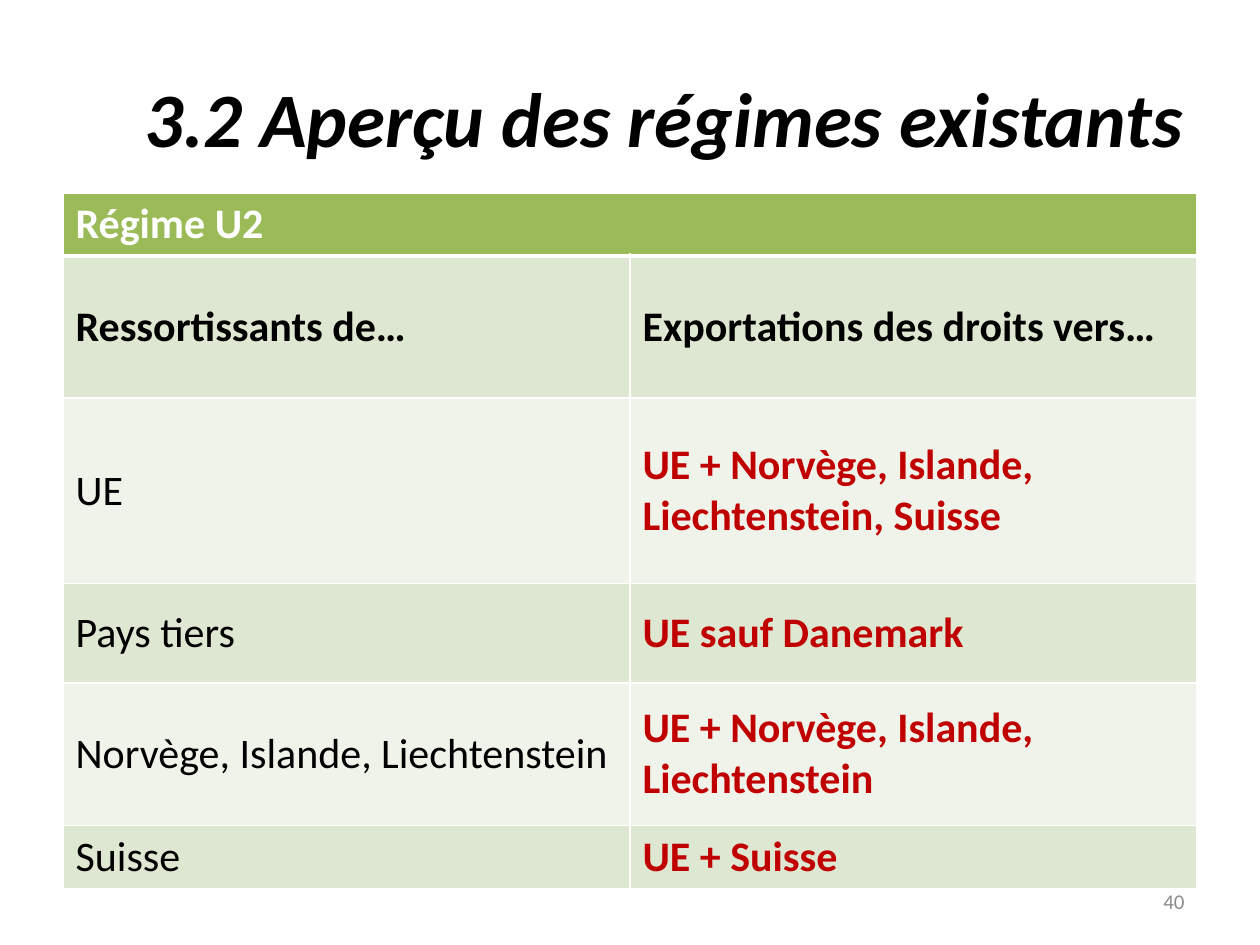
import pptx
import pptx.dml.color
import pptx.enum.text
import pptx.oxml.ns
import pptx.util
from lxml import etree

Inches, Pt = pptx.util.Inches, pptx.util.Pt
RGBColor = pptx.dml.color.RGBColor
PP_ALIGN = pptx.enum.text.PP_ALIGN
MIDDLE = pptx.enum.text.MSO_ANCHOR.MIDDLE
qn = pptx.oxml.ns.qn

FONT = "Calibri"
BLACK = RGBColor(0x00, 0x00, 0x00)
WHITE = RGBColor(0xFF, 0xFF, 0xFF)
GREY = RGBColor(0x8C, 0x8C, 0x8C)
RED = RGBColor(0xC0, 0x00, 0x00)
GREEN = RGBColor(0x9B, 0xBB, 0x59)
BANDS = (RGBColor(0xDE, 0xE7, 0xD1), RGBColor(0xEF, 0xF3, 0xEA))

TITLE = "3.2 Aperçu des régimes existants"
PAGE_NUMBER = "40"
REGIME = "Régime U2"
HEADINGS = ("Ressortissants de…", "Exportations des droits vers…")
EXPORTS = [
    ("UE", "UE + Norvège, Islande, Liechtenstein, Suisse"),
    ("Pays tiers", "UE sauf Danemark"),
    ("Norvège, Islande, Liechtenstein", "UE + Norvège, Islande, Liechtenstein"),
    ("Suisse", "UE + Suisse"),
]
ROW_HEIGHTS = (0.46, 1.13, 1.47, 0.79, 1.13, 0.46)
COLUMN_WIDTH = 4.5


def write(frame, text, size, color, bold=False, italic=False, align=PP_ALIGN.LEFT):
    frame.text = text
    paragraph = frame.paragraphs[0]
    paragraph.alignment = align
    font = paragraph.font
    font.name, font.size = FONT, Pt(size)
    font.bold, font.italic = bold, italic
    font.color.rgb = color


def add_borders(cell, top, bottom):
    """Draw white cell borders; top and bottom are widths in points."""
    properties = cell._tc.get_or_add_tcPr()
    for side, width in (("L", 1), ("R", 1), ("T", top), ("B", bottom)):
        line = etree.SubElement(properties, qn(f"a:ln{side}"), w=str(Pt(width)))
        fill = etree.SubElement(line, qn("a:solidFill"))
        etree.SubElement(fill, qn("a:srgbClr"), val=str(WHITE))


def fill_cell(cell, text, color, bold, background, top=1, bottom=1):
    write(cell.text_frame, text, 24, color, bold)
    cell.vertical_anchor = MIDDLE
    add_borders(cell, top, bottom)
    cell.fill.solid()
    cell.fill.fore_color.rgb = background


presentation = pptx.Presentation()
presentation.slide_width, presentation.slide_height = Inches(10), Inches(7.5)
slide = presentation.slides.add_slide(presentation.slide_layouts[5])

title = slide.shapes.title
title.left, title.top = Inches(0.5), Inches(0.3)
title.width, title.height = Inches(9), Inches(1.25)
title.text_frame.vertical_anchor = MIDDLE
write(title.text_frame, TITLE, 44, BLACK, True, True, PP_ALIGN.RIGHT)

page_number = slide.shapes.add_textbox(
    Inches(7.17), Inches(6.95), Inches(2.33), Inches(0.4)).text_frame
page_number.word_wrap = True
page_number.vertical_anchor = MIDDLE
write(page_number, PAGE_NUMBER, 12, GREY, align=PP_ALIGN.RIGHT)

regimes = slide.shapes.add_table(
    len(ROW_HEIGHTS), 2, Inches(0.5), Inches(1.53),
    Inches(2 * COLUMN_WIDTH), Inches(sum(ROW_HEIGHTS))).table
for column in regimes.columns:
    column.width = Inches(COLUMN_WIDTH)
for row, height in zip(regimes.rows, ROW_HEIGHTS):
    row.height = Inches(height)

regimes.cell(0, 0).merge(regimes.cell(0, 1))
fill_cell(regimes.cell(0, 0), REGIME, WHITE, True, GREEN, bottom=3)
for r, texts in enumerate([HEADINGS] + EXPORTS, start=1):
    is_heading = r == 1
    for c, text in enumerate(texts):
        is_export = c == 1 and not is_heading
        fill_cell(regimes.cell(r, c), text, RED if is_export else BLACK,
                  is_heading or is_export, BANDS[(r - 1) % 2],
                  top=3 if is_heading else 1)

presentation.save("out.pptx")
